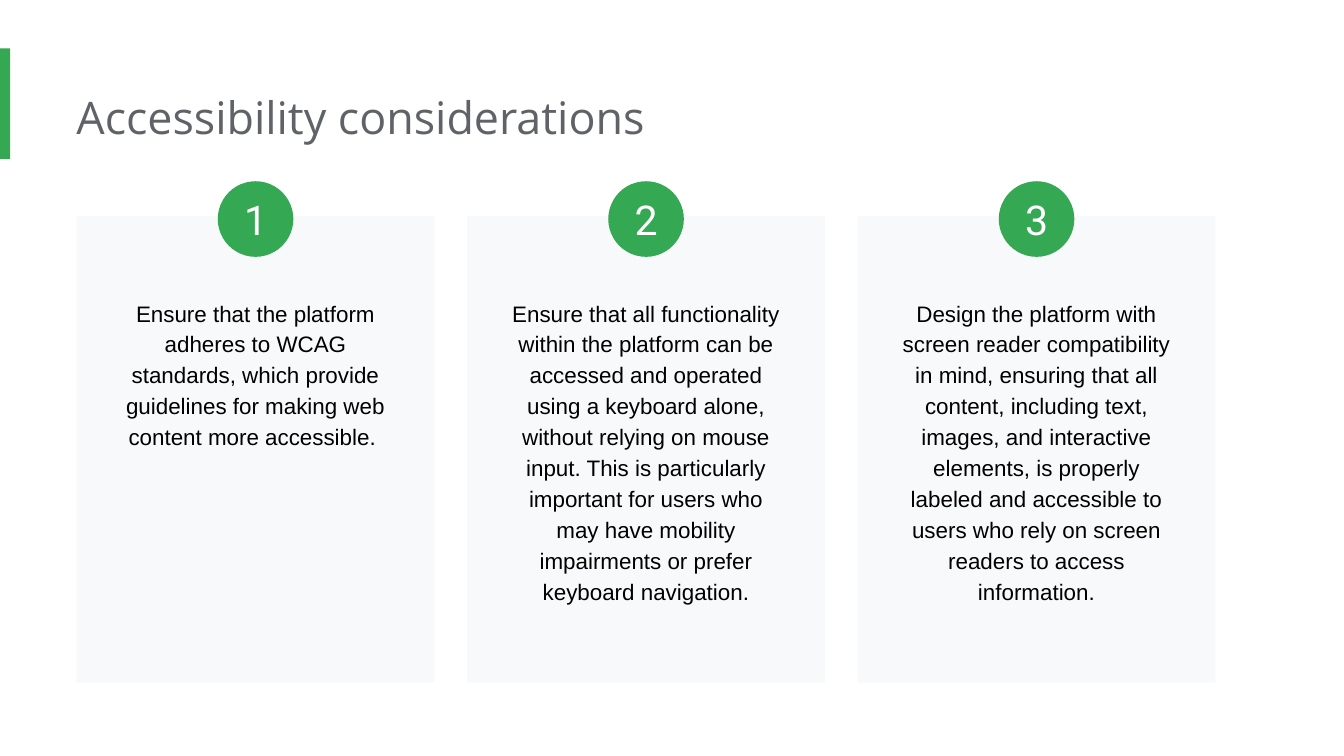
from dataclasses import dataclass

from pptx import Presentation
from pptx.dml.color import RGBColor
from pptx.enum.shapes import MSO_SHAPE
from pptx.enum.text import MSO_ANCHOR, PP_ALIGN
from pptx.util import Pt

RECTANGLE, OVAL = MSO_SHAPE.RECTANGLE, MSO_SHAPE.OVAL
LEFT, CENTER = PP_ALIGN.LEFT, PP_ALIGN.CENTER
TOP, MIDDLE = MSO_ANCHOR.TOP, MSO_ANCHOR.MIDDLE


@dataclass(frozen=True)
class Theme:
    green: str = "34A853"
    card: str = "F8F9FA"
    heading: str = "5F6368"
    body: str = "000000"
    number: str = "FFFFFF"
    heading_size: float = 24
    body_size: float = 12
    number_size: float = 22


theme = Theme()


def add_filled(kind, left, top, width, height, color):
    shape = slide.shapes.add_shape(kind, Pt(left), Pt(top), Pt(width), Pt(height))
    shape.shadow.inherit = False
    shape.fill.solid()
    shape.fill.fore_color.rgb = RGBColor.from_string(color)
    shape.line.fill.background()
    return shape


def write(holder, text, *, font, size, color, align=LEFT, anchor=TOP,
          insets=(7.2, 7.2, 7.2, 7.2), spacing=1.0):
    frame = holder.text_frame
    frame.word_wrap = True
    frame.vertical_anchor = anchor
    (frame.margin_left, frame.margin_top,
     frame.margin_right, frame.margin_bottom) = map(Pt, insets)
    paragraph = frame.paragraphs[0]
    paragraph.alignment = align
    paragraph.line_spacing = spacing
    run = paragraph.add_run()
    run.text = text
    run.font.name = font
    run.font.size = Pt(size)
    run.font.color.rgb = RGBColor.from_string(color)


considerations = [
    "Ensure that the platform adheres to WCAG standards, which provide "
    "guidelines for making web content more accessible. ",
    "Ensure that all functionality within the platform can be accessed and "
    "operated using a keyboard alone, without relying on mouse input. This is "
    "particularly important for users who may have mobility impairments or "
    "prefer keyboard navigation.",
    "Design the platform with screen reader compatibility in mind, ensuring "
    "that all content, including text, images, and interactive elements, is "
    "properly labeled and accessible to users who rely on screen readers to "
    "access information.",
]

prs = Presentation()
prs.slide_width, prs.slide_height = Pt(720), Pt(405)
slide = prs.slides.add_slide(prs.slide_layouts[6])

# Accent bar and heading
add_filled(RECTANGLE, 0, 26, 5.5, 59.2, theme.green)
heading = slide.shapes.add_textbox(Pt(41), Pt(41), Pt(551.5), Pt(44))
write(heading, "Accessibility considerations", font="Open Sans",
      size=theme.heading_size, color=theme.heading, insets=(0, 7.2, 7.2, 7.2))

# Numbered cards
margin, card_width, gap = 41, 191.8, 17.4
text_width, badge_size = 161.4, 40.5
for number, consideration in enumerate(considerations, start=1):
    card_left = margin + (number - 1) * (card_width + gap)
    center = card_left + card_width / 2
    add_filled(RECTANGLE, card_left, 115.8, card_width, 250, theme.card)

    body = slide.shapes.add_textbox(
        Pt(center - text_width / 2), Pt(151.2), Pt(text_width), Pt(181.4))
    write(body, consideration, font="Arial", size=theme.body_size,
          color=theme.body, align=CENTER, spacing=1.15)

    badge = add_filled(OVAL, center - badge_size / 2, 97.1,
                       badge_size, badge_size, theme.green)
    write(badge, str(number), font="Roboto", size=theme.number_size,
          color=theme.number, align=CENTER, anchor=MIDDLE, insets=(0, 0, 0, 0))

prs.save("out.pptx")
